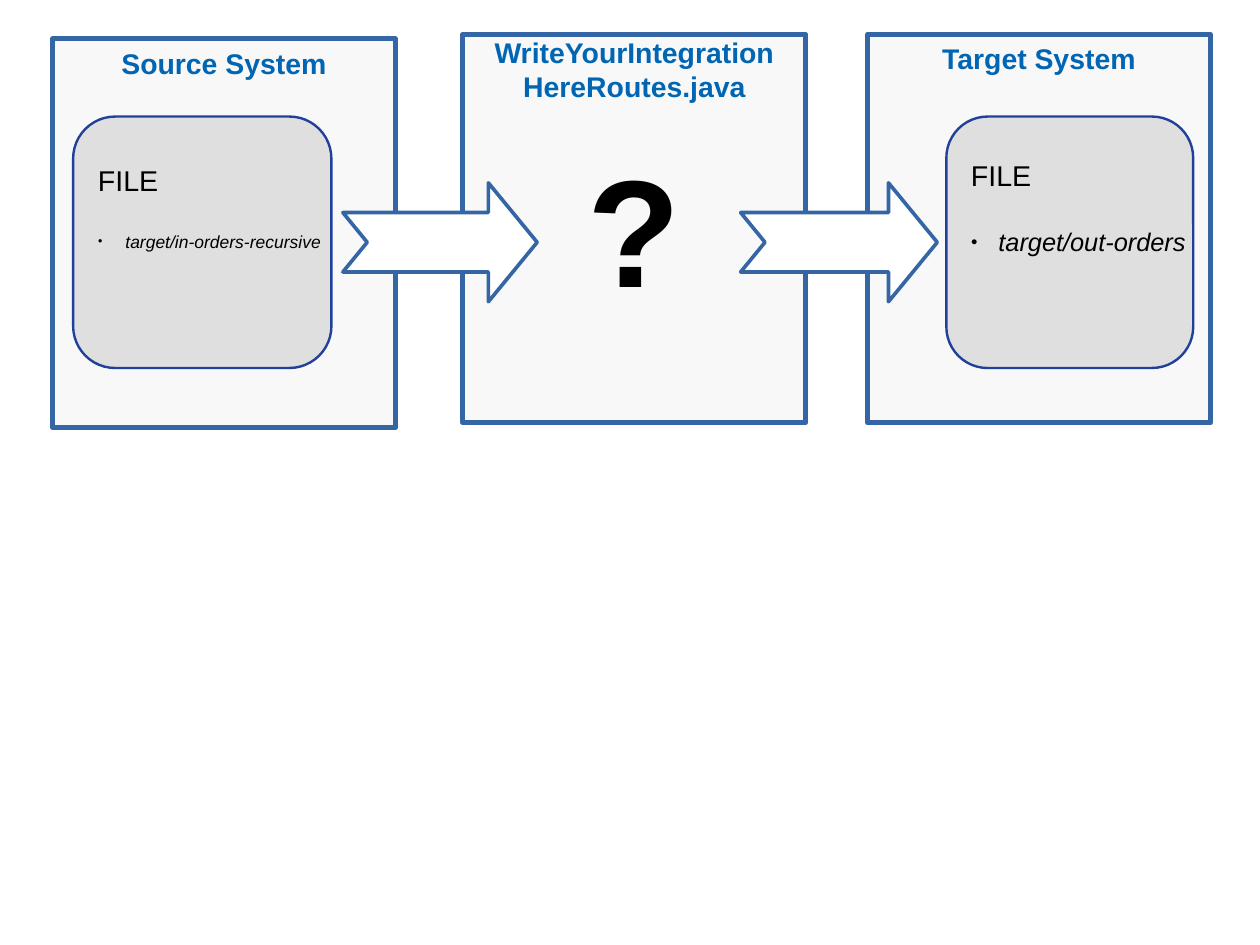
import pptx
import pptx.dml.color
import pptx.enum.shapes
import pptx.enum.text
import pptx.oxml
import pptx.oxml.ns
import pptx.util
from lxml import etree

Inches = pptx.util.Inches
Pt = pptx.util.Pt
SHAPES = pptx.enum.shapes.MSO_SHAPE
ALIGN = pptx.enum.text.PP_ALIGN

CM_PER_INCH = 2.54
STEEL = "3465A4"
NAVY = "21409A"
HEADING = "0066B3"
BLACK = "000000"


def set_color(color_format, hex_color):
    """Set a colour from a hex string."""
    color_format.rgb = pptx.dml.color.RGBColor.from_string(hex_color)


def add_child(parent, tag, **attributes):
    """Append a DrawingML element to its parent."""
    return etree.SubElement(parent, pptx.oxml.ns.qn(tag), attributes)


def add_box(slide, kind, box, fill, line, width, opacity=100):
    """Add a filled, outlined shape in box (left, top, width, height)."""
    shape = slide.shapes.add_shape(kind, *map(Inches, box))
    shape.shadow.inherit = False
    shape.fill.solid()
    set_color(shape.fill.fore_color, fill)
    if opacity < 100:
        color = shape.fill._xPr.find(".//" + pptx.oxml.ns.qn("a:srgbClr"))
        add_child(color, "a:alpha", val=str(opacity * 1000))
    set_color(shape.line.color, line)
    shape.line.width = Pt(width)
    return shape


def set_frame(shape, side, top):
    """Anchor unwrapped text at the top with the given insets."""
    frame = shape.text_frame
    frame.word_wrap = False
    frame.vertical_anchor = pptx.enum.text.MSO_ANCHOR.TOP
    frame.margin_left = frame.margin_right = Inches(side)
    frame.margin_top = Inches(top)
    frame.margin_bottom = Inches(0)
    return frame


def write(frame, text, size, color, align=ALIGN.LEFT, before=0):
    """Write the next paragraph of a frame and return it."""
    first = frame.paragraphs[0]
    paragraph = frame.add_paragraph() if first.runs else first
    paragraph.text = text
    paragraph.alignment = align
    paragraph.space_before = Pt(before)
    paragraph.font.name = "Arial"
    paragraph.font.size = Pt(size)
    set_color(paragraph.font.color, color)
    return paragraph


def add_bullet(paragraph, indent):
    """Give a paragraph a small round bullet with a hanging indent."""
    properties = paragraph._p.get_or_add_pPr()
    properties.set("marL", str(Inches(indent)))
    properties.set("indent", str(-Inches(indent)))
    bullet_color = add_child(properties, "a:buClr")
    add_child(bullet_color, "a:srgbClr", val=BLACK)
    add_child(properties, "a:buSzPct", val="45000")
    add_child(properties, "a:buFont", typeface="Arial")
    add_child(properties, "a:buChar", char="●")
    # The schema wants the default run properties after the bullet.
    properties.append(properties.find(pptx.oxml.ns.qn("a:defRPr")))


def add_panel(slide, box, heading, top_inset, symbol=None):
    """Draw a system panel with heading lines and an optional big symbol."""
    panel = add_box(slide, SHAPES.RECTANGLE, box, "EEEEEE", STEEL, 3, opacity=38)
    frame = set_frame(panel, 0.12, top_inset)
    for line in heading:
        write(frame, line, 17.9, HEADING, ALIGN.CENTER).font.bold = True
    if symbol:
        write(frame, symbol, 96, BLACK, ALIGN.CENTER, before=20).font.bold = True


def add_arrow(slide, box):
    """Draw a notched arrow that leads from one panel to the next."""
    arrow = add_box(slide, SHAPES.NOTCHED_RIGHT_ARROW, box, "FFFFFF", STEEL, 2.3)
    arrow.adjustments[0] = 0.5
    arrow.adjustments[1] = 0.41


def add_endpoint(slide, box, folder, folder_size, top_inset):
    """Draw a rounded file card that lists its folder."""
    card = add_box(slide, SHAPES.ROUNDED_RECTANGLE, box, "CCCCCC", NAVY, 1.5, opacity=56)
    card.adjustments[0] = 0.167
    frame = set_frame(card, 0.11, top_inset)
    write(frame, "FILE", 18, BLACK)
    entry = write(frame, folder, folder_size, BLACK, before=21)
    entry.font.italic = True
    add_bullet(entry, 0.24)


def build_integration_slide(slide):
    """Lay out source, integration and target from left to right."""
    panel_size = (3, 3.4)
    add_panel(slide, (0.46, 0.34, *panel_size), ["Source System"], 0.06)
    add_panel(slide, (4.05, 0.3, *panel_size),
              ["WriteYourIntegration", "HereRoutes.java"], 0.01, symbol="?")
    add_panel(slide, (7.59, 0.3, *panel_size), ["Target System"], 0.06)
    for left, width in ((3, 1.7), (6.48, 1.72)):
        add_arrow(slide, (left, 1.6, width, 1.04))
    add_endpoint(slide, (0.64, 1.02, 2.26, 2.2), "target/in-orders-recursive", 11, 0.3)
    add_endpoint(slide, (8.28, 1.02, 2.16, 2.2), "target/out-orders", 16, 0.26)


presentation = pptx.Presentation()
presentation.slide_width = Inches(28 / CM_PER_INCH)
presentation.slide_height = Inches(21 / CM_PER_INCH)
blank_layout = presentation.slide_layouts[6]
build_integration_slide(presentation.slides.add_slide(blank_layout))
presentation.save("out.pptx")
